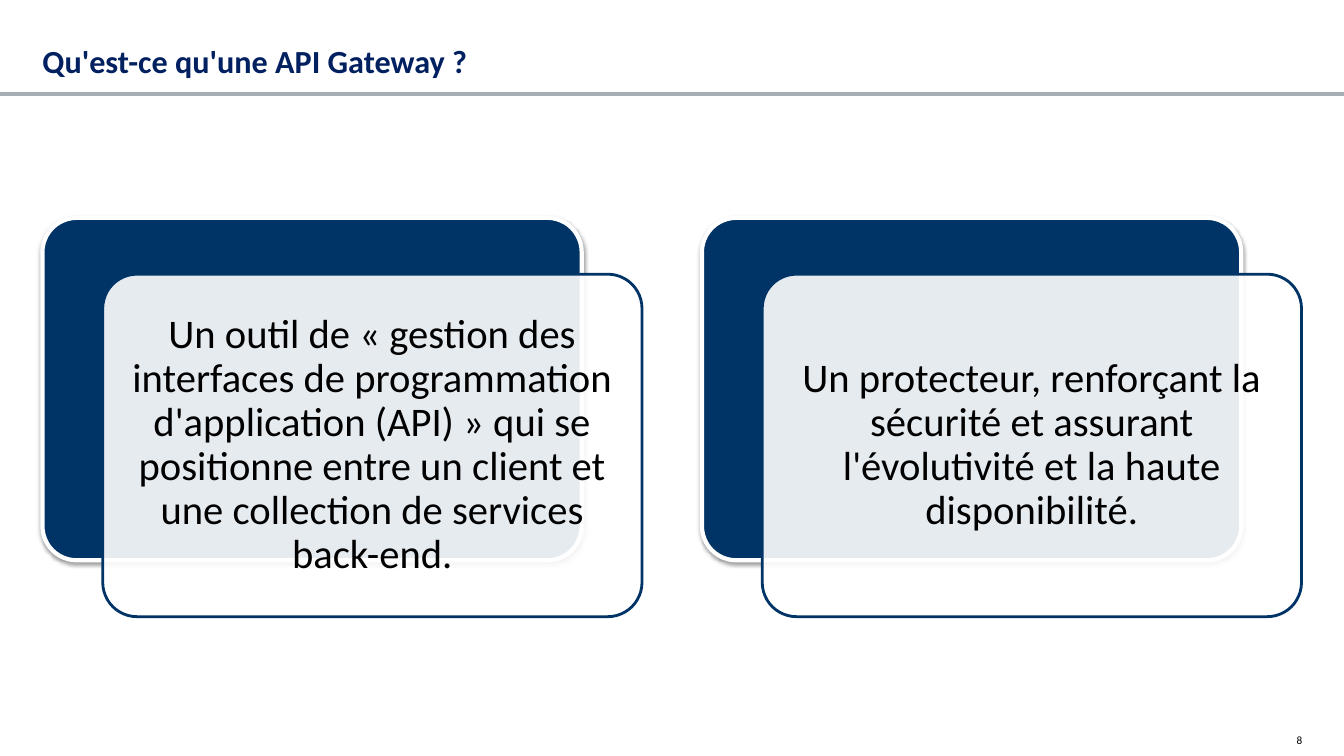
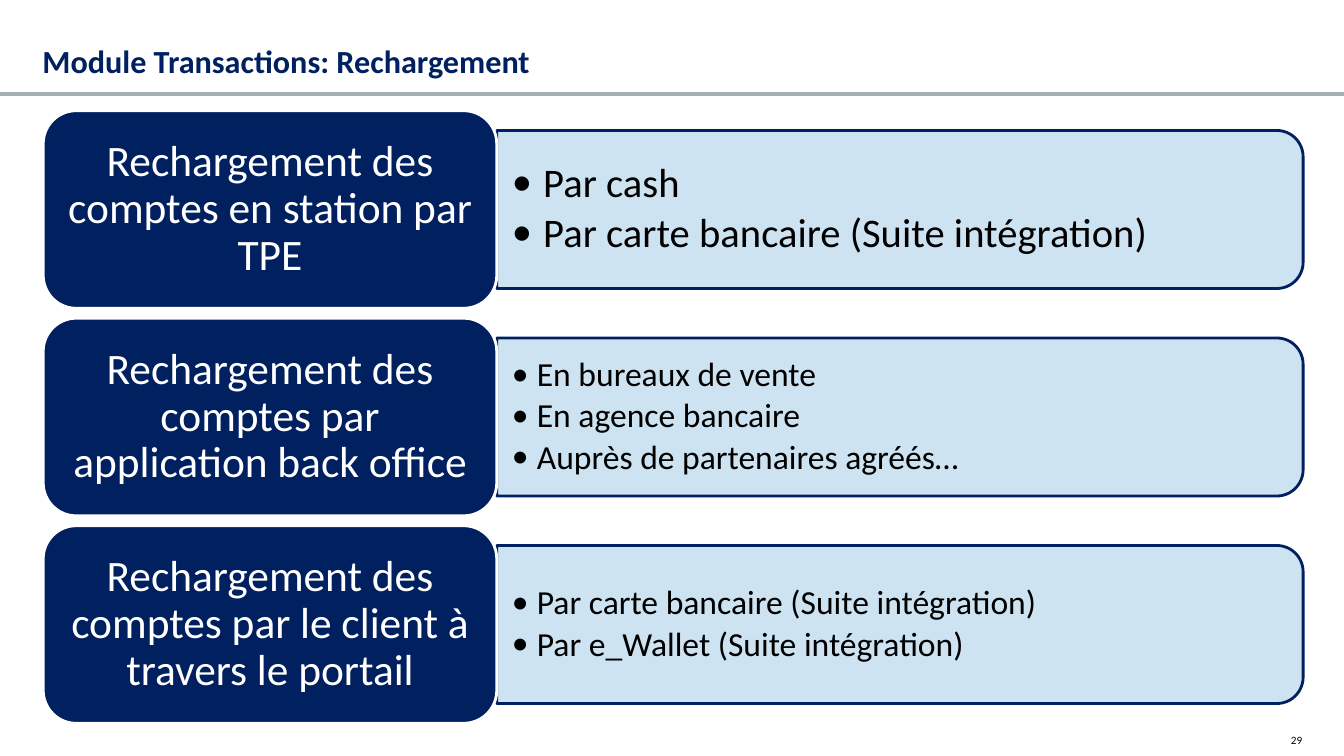
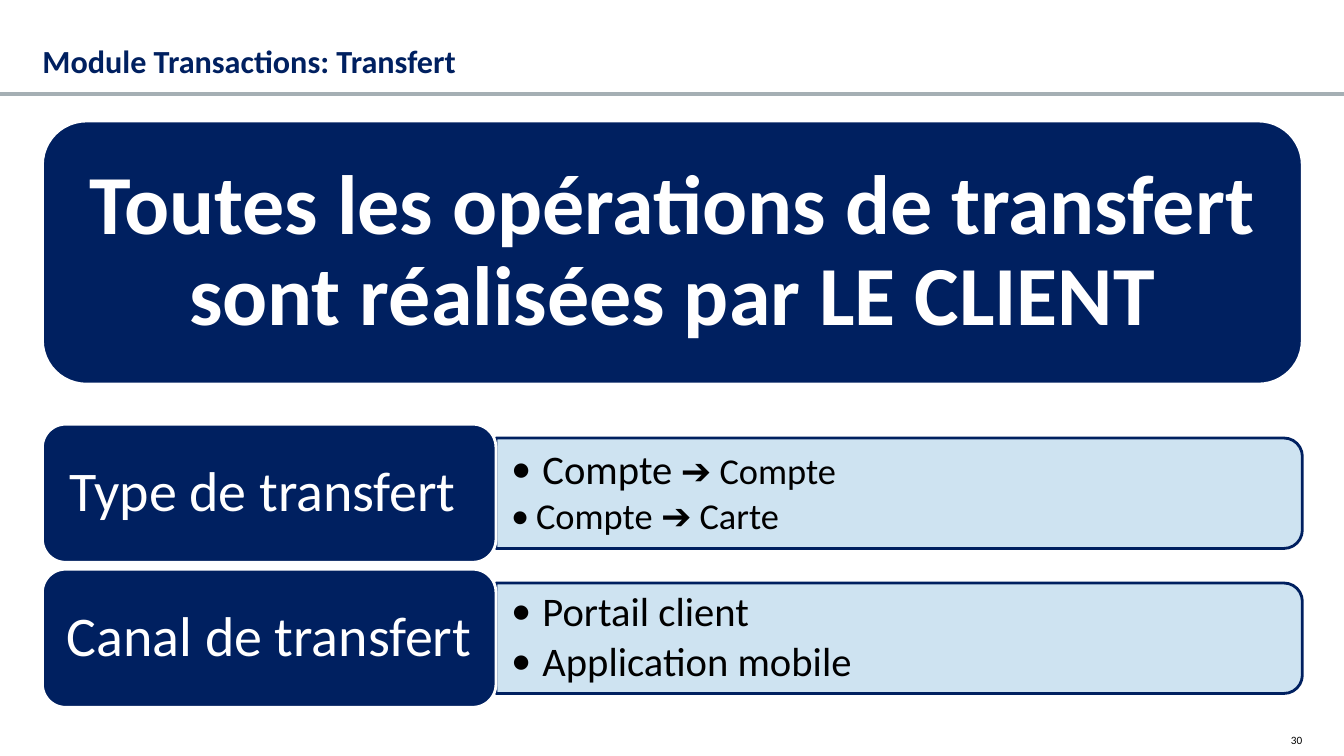
from lxml import etree
from pptx import Presentation
from pptx.dml.color import RGBColor
from pptx.enum import shapes, text
from pptx.oxml import ns
from pptx.util import Cm, Pt

NAVY = RGBColor(0x00, 0x20, 0x60)
BLUE = RGBColor(0x00, 0x33, 0x66)
SKY = RGBColor(0xC9, 0xE0, 0xF0)
GREY = RGBColor(0xA5, 0xAF, 0xB4)
WHITE = RGBColor(0xFF, 0xFF, 0xFF)
BLACK = RGBColor(0x00, 0x00, 0x00)
FONT = "Calibri"
KIND = shapes.MSO_SHAPE
ALIGN = text.PP_ALIGN


def add_box(slide, kind, left, top, width, height, fill, line, line_width, opacity=None):
    shape = slide.shapes.add_shape(kind, Cm(left), Cm(top), Cm(width), Cm(height))
    shape.shadow.inherit = False
    shape.fill.solid()
    shape.fill.fore_color.rgb = fill
    shape.line.color.rgb = line
    shape.line.width = Pt(line_width)
    if opacity:
        color = shape.fill._xPr.find(ns.qn("a:solidFill"))[0]
        etree.SubElement(color, ns.qn("a:alpha"), val=str(opacity * 1000))
    return shape


def write(shape, paragraphs, color, align, margin, bold=False, spacing=0.9,
          anchor=text.MSO_ANCHOR.MIDDLE):
    frame = shape.text_frame
    frame.word_wrap = True
    frame.auto_size = text.MSO_AUTO_SIZE.NONE
    frame.vertical_anchor = anchor
    frame.margin_left = frame.margin_right = Cm(margin)
    frame.margin_top = frame.margin_bottom = Cm(margin / 2)
    for index, runs in enumerate(paragraphs):
        paragraph = frame.add_paragraph() if index else frame.paragraphs[0]
        paragraph.alignment = align
        paragraph.line_spacing = spacing
        if index:
            paragraph.space_before = Pt(round(0.15 * runs[0][1], 1))
        for words, size in runs:
            run = paragraph.add_run()
            run.text = words
            run.font.name = FONT
            run.font.size = Pt(size)
            run.font.bold = bold
            run.font.color.rgb = color


presentation = Presentation()
presentation.slide_width = Cm(33.87)
presentation.slide_height = Cm(19.05)

slides = []
for title, number in [
    ("Qu'est-ce qu'une API Gateway ?", "8"),
    ("Module Transactions: Rechargement", "29"),
    ("Module Transactions: Transfert", "30"),
]:
    slide = presentation.slides.add_slide(presentation.slide_layouts[5])
    slides.append(slide)
    rule = slide.shapes.add_connector(
        shapes.MSO_CONNECTOR.STRAIGHT, 0, Cm(2.36), presentation.slide_width, Cm(2.36))
    rule.line.color.rgb = GREY
    rule.line.width = Pt(2.8)
    etree.SubElement(rule._element.spPr, ns.qn("a:effectLst"))
    heading = slide.shapes.title
    heading.left, heading.top, heading.width, heading.height = Cm(1.07), Cm(0.23), Cm(26.54), Cm(1.78)
    write(heading, [[(title, 23)]], NAVY, ALIGN.LEFT, 0, True, 0.84, text.MSO_ANCHOR.BOTTOM)
    page = slide.shapes.add_textbox(Cm(31.47), Cm(18.49), Cm(1.35), Cm(0.46))
    write(page, [[(number, 8)]], BLACK, ALIGN.RIGHT, 0, False, 1, text.MSO_ANCHOR.TOP)

gateway, recharge, transfer = slides

for column, definition in enumerate([
    "Un outil de « gestion des interfaces de programmation d'application (API) » qui se "
    "positionne entre un client et une collection de services back-end.",
    "Un protecteur, renforçant la sécurité et assurant l'évolutivité et la haute disponibilité.",
]):
    left = 1.07 + 16.62 * column
    back = add_box(gateway, KIND.ROUNDED_RECTANGLE, left, 5.49, 13.59, 8.63, BLUE, WHITE, 3)
    effects = back._element.spPr.find(ns.qn("a:effectLst"))
    shadow = etree.SubElement(effects, ns.qn("a:outerShdw"), blurRad=str(Pt(3.1)),
                              dist=str(Pt(1.6)), dir="5400000", rotWithShape="0")
    shade = etree.SubElement(shadow, ns.qn("a:srgbClr"), val=str(BLACK))
    etree.SubElement(shade, ns.qn("a:alpha"), val="38000")
    front = add_box(gateway, KIND.ROUNDED_RECTANGLE, left + 1.52, 6.91, 13.59, 8.63,
                    WHITE, BLUE, 2, 90)
    back.adjustments[0] = front.adjustments[0] = 0.1
    write(front, [[(definition, 29)]], BLACK, ALIGN.CENTER, 0.3)

banner = add_box(transfer, KIND.ROUNDED_RECTANGLE, 1.07, 3.05, 31.75, 6.63, NAVY, WHITE, 2)
write(banner, [[("Toutes les opérations de transfert sont réalisées par LE CLIENT", 60)]],
      WHITE, ALIGN.CENTER, 0.63, True)

recharge_rows = [
    ("Rechargement des comptes en station par TPE",
     [[("Par cash", 29)], [("Par carte bancaire (Suite intégration)", 29)]]),
    ("Rechargement des comptes par application back office",
     [[("En bureaux de vente", 24)], [("En agence bancaire", 24)],
      [("Auprès de partenaires agréés…", 24)]]),
    ("Rechargement des comptes par le client à travers le portail",
     [[("Par carte bancaire (Suite intégration)", 24)],
      [("Par e_Wallet (Suite intégration)", 24)]]),
]
transfer_rows = [
    ("Type de transfert ",
     [[("Compte", 29), (" ➔ Compte", 26)], [("Compte ➔ Carte", 26)]]),
    ("Canal de transfert",
     [[("Portail client", 29)], [("Application mobile", 29)]]),
]
label_width, panel_width = 11.43, 20.32

for slide, rows, left, first_top, height, size in [
    (recharge, recharge_rows, 1.09, 2.79, 4.98, 31),
    (transfer, transfer_rows, 1.07, 10.69, 3.48, 40),
]:
    panel_left = left + label_width
    panel_height = 0.8 * height
    for row, (label, items) in enumerate(rows):
        top = first_top + 1.05 * height * row
        panel = add_box(slide, KIND.ROUND_2_SAME_RECTANGLE,
                        panel_left + (panel_width - panel_height) / 2,
                        top + (height - panel_width) / 2,
                        panel_height, panel_width, SKY, NAVY, 2, 90)
        panel.rotation = 90
        details = slide.shapes.add_textbox(Cm(panel_left), Cm(top + 0.1 * height),
                                           Cm(panel_width - 0.2), Cm(panel_height))
        write(details, items, BLACK, ALIGN.LEFT, 0.38)
        for paragraph, runs in zip(details.text_frame.paragraphs, items):
            indent = Cm(0.79 if runs[0][1] == 29 else 0.63)
            properties = paragraph._p.get_or_add_pPr()
            properties.set("marL", str(indent))
            properties.set("indent", str(-indent))
            etree.SubElement(properties, ns.qn("a:buFont"), typeface=FONT)
            etree.SubElement(properties, ns.qn("a:buChar"), char="•")
        tab = add_box(slide, KIND.ROUNDED_RECTANGLE, left, top, label_width, height,
                      NAVY, WHITE, 2)
        write(tab, [[(label, size)]], WHITE, ALIGN.CENTER, 0.35)

presentation.save("out.pptx")
